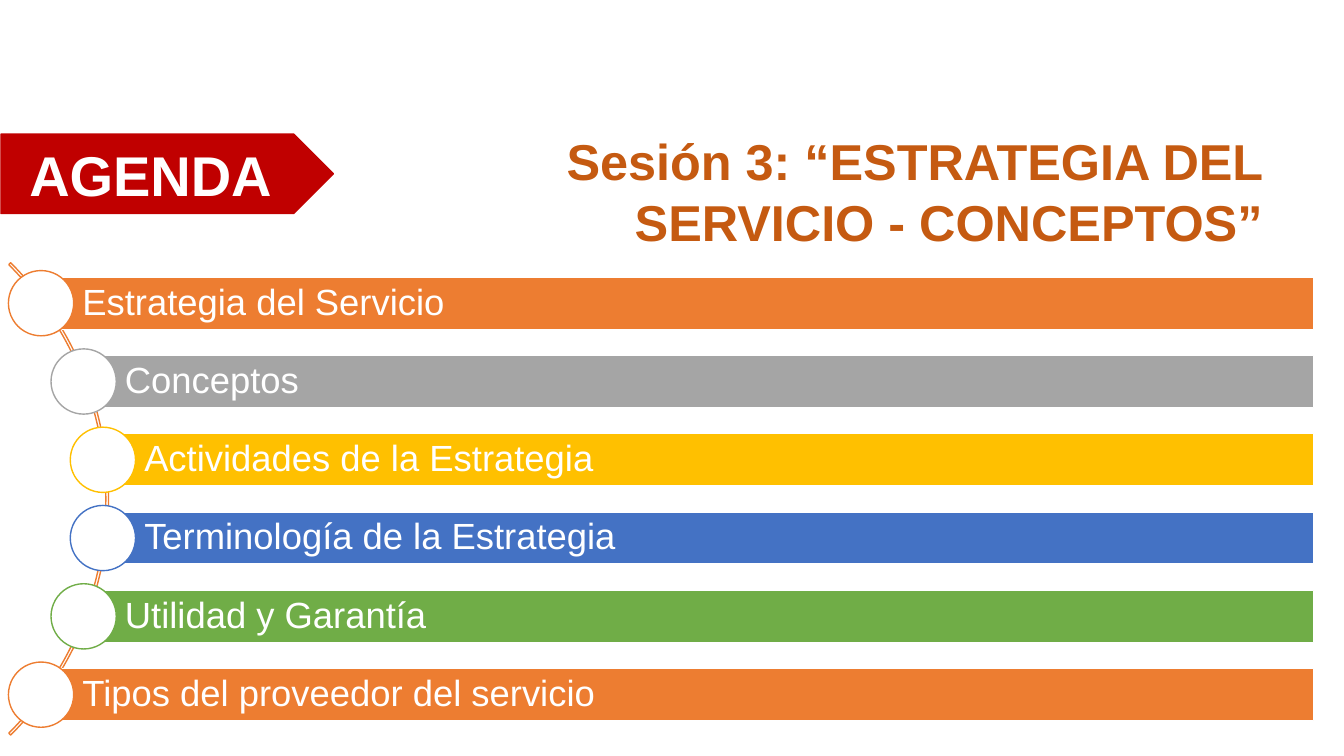
import math

import pptx
import pptx.dml.color
import pptx.enum.shapes
import pptx.enum.text
import pptx.util

WIDE, HIGH = 13.33, 7.5
HUES = {
    "white": "FFFFFF", "rust": "C55A11", "red": "C00000", "orange": "ED7D31",
    "gray": "A5A5A5", "gold": "FFC000", "blue": "4472C4", "green": "70AD47",
}
TOPICS = [
    ("Estrategia del Servicio", "orange"),
    ("Conceptos", "gray"),
    ("Actividades de la Estrategia", "gold"),
    ("Terminología de la Estrategia", "blue"),
    ("Utilidad y Garantía", "green"),
    ("Tipos del proveedor del servicio", "orange"),
]
KINDS = pptx.enum.shapes.MSO_SHAPE
ALIGN = pptx.enum.text.PP_ALIGN


def tint(name):
    return pptx.dml.color.RGBColor.from_string(HUES[name])


def draw(slide, kind, box, fill, line):
    shape = slide.shapes.add_shape(kind, *[pptx.util.Inches(n) for n in box])
    shape.shadow.inherit = False
    if fill:
        shape.fill.solid()
        shape.fill.fore_color.rgb = tint(fill)
    else:
        shape.fill.background()
    shape.line.color.rgb = tint(line)
    shape.line.width = pptx.util.Pt(1)
    return shape


def write(shape, text, size, hue, align, bold=False):
    frame = shape.text_frame
    frame.word_wrap = True
    frame.vertical_anchor = pptx.enum.text.MSO_ANCHOR.MIDDLE
    para = frame.paragraphs[0]
    para.alignment = align
    run = para.add_run()
    run.text = text
    run.font.name = "Arial"
    run.font.size = pptx.util.Pt(size)
    run.font.bold = bold
    run.font.color.rgb = tint(hue)
    return frame


def header(slide, box):
    left, top, width, height = box
    title = draw(slide, KINDS.RECTANGLE,
                 (left + 0.24 * width, top + 0.04 * height, 0.755 * width, 0.96 * height),
                 "white", "white")
    write(title, "Sesión 3: “ESTRATEGIA DEL SERVICIO - CONCEPTOS”", 36, "rust", ALIGN.RIGHT, True)
    tag = draw(slide, KINDS.PENTAGON, (left, top, 0.26 * width, 0.73 * height), "red", "red")
    write(tag, "AGENDA ", 40, "white", ALIGN.CENTER, True)


def agenda(slide, box):
    left, top, width, height = box
    step = height / len(TOPICS)
    bar, dot = step * 2 / 3, step * 5 / 6
    hub, mid = left - 0.48 * height, top + height / 2
    outer, track = 0.711 * height, 0.704 * height

    arc = draw(slide, KINDS.BLOCK_ARC, (hub - outer, mid - outer, 2 * outer, 2 * outer),
               None, "orange")
    for spot, value in enumerate((189, 27, 0.004)):
        arc.adjustments[spot] = value

    for row, (text, hue) in enumerate(TOPICS):
        y = top + (row + 0.5) * step
        x = hub + math.sqrt(track ** 2 - (y - mid) ** 2)
        strip = draw(slide, KINDS.RECTANGLE, (x, y - bar / 2, left + width - x, bar), hue, "white")
        frame = write(strip, text, 26, "white", ALIGN.LEFT)
        frame.margin_left = pptx.util.Inches(0.41)
        frame.margin_right = frame.margin_top = frame.margin_bottom = pptx.util.Inches(0.07)
        frame.paragraphs[0].line_spacing = 0.9
        draw(slide, KINDS.OVAL, (x - dot / 2, y - dot / 2, dot, dot), "white", hue)


def main():
    deck = pptx.Presentation()
    deck.slide_width = pptx.util.Inches(WIDE)
    deck.slide_height = pptx.util.Inches(HIGH)
    slide = deck.slides.add_slide(deck.slide_layouts[6])
    header(slide, (0.01, 1.33, 12.68, 1.08))
    agenda(slide, (0, 2.62, 13.03, 4.66))
    deck.save("out.pptx")


if __name__ == "__main__":
    main()
